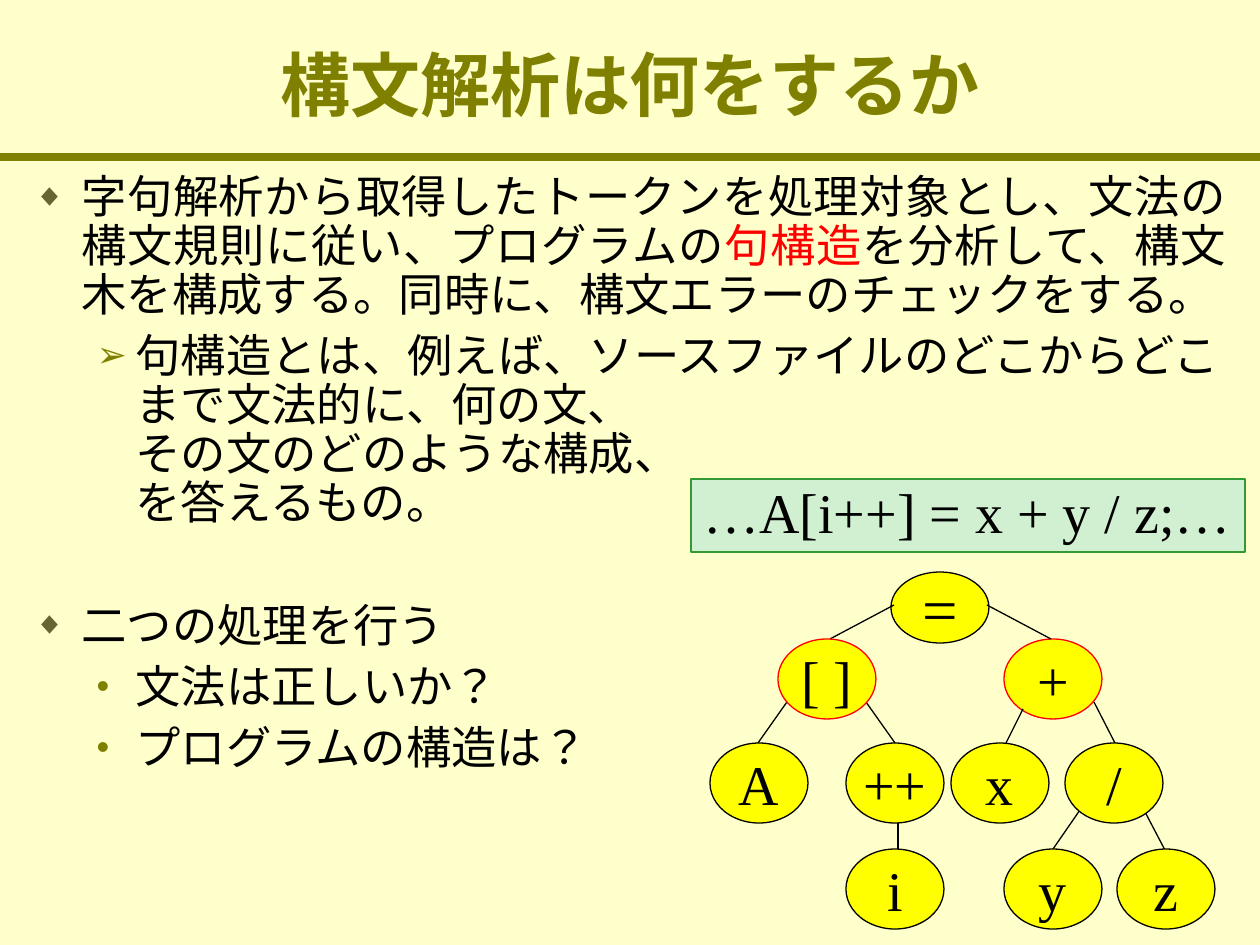
import pptx
import pptx.util
import pptx.dml.color
import pptx.enum.lang
import pptx.enum.shapes
import pptx.enum.text
import pptx.oxml
import pptx.oxml.ns

PX = 914400 / 126
LATIN = "Times New Roman"
JAPANESE = "Noto Sans CJK JP"
OLIVE, BLACK, RED, YELLOW = "808000", "000000", "FF0000", "FFFF00"
ALIGN = pptx.enum.text.PP_ALIGN
AUTO_SIZE = pptx.enum.text.MSO_AUTO_SIZE
SHAPE = pptx.enum.shapes.MSO_SHAPE

TITLE = "構文解析は何をするか"
# bullet, alignment, space before (pt), runs of (text, colour)
POINTS = [
    ("◆", ALIGN.JUSTIFY, 0, [
        ("字句解析から取得したトークンを処理対象とし、文法の構文規則に従い、プログラムの", BLACK),
        ("句構造", RED),
        ("を分析して、構文木を構成する。同時に、構文エラーのチェックをする。", BLACK)]),
    ("➢", ALIGN.LEFT, 7, [
        ("句構造とは、例えば、ソースファイルのどこからどこまで文法的に、何の文、\n"
         "その文のどのような構成、\nを答えるもの。", BLACK)]),
    ("◆", ALIGN.JUSTIFY, 42, [("二つの処理を行う", BLACK)]),
    ("•", ALIGN.JUSTIFY, 7, [("文法は正しいか？", BLACK)]),
    ("•", ALIGN.JUSTIFY, 7, [("プログラムの構造は？", BLACK)]),
]
CODE = "…A[i++] = x + y / z;…"

# symbol, centre x, tree level, outline
UPPER_NODES = [("=", 940, 0, BLACK), ("+", 1053, 1, RED)]
LOWER_NODES = [
    ("[ ]", 827, 1, RED), ("A", 759, 2, BLACK), ("++", 895, 2, BLACK),
    ("i", 895, 3, BLACK), ("x", 1000, 2, BLACK), ("/", 1114, 2, BLACK),
    ("y", 1053, 3, BLACK), ("z", 1166, 3, BLACK),
]
LEVEL_TOPS = [572, 639, 743, 849]
NODE_WIDTH, NODE_HEIGHT, ROOT_HEIGHT = 98, 80, 71
EDGES = [
    (894, 605, 830, 639), (987, 605, 1051, 639),
    (787, 702, 758, 743), (866, 702, 895, 743),
    (1023, 709, 1002, 751), (1094, 702, 1115, 743),
    (898, 823, 898, 849),
    (1080, 810, 1051, 852), (1144, 810, 1166, 852),
]


def emu(*lengths):
    return [round(length * PX) for length in lengths]


def rgb(color):
    return pptx.dml.color.RGBColor.from_string(color)


def add_run(paragraph, text, size, color, font=LATIN, bold=False):
    run = paragraph.add_run()
    run.text = text
    run.font.size = pptx.util.Pt(size)
    run.font.bold = bold
    run.font.language_id = pptx.enum.lang.MSO_LANGUAGE_ID.JAPANESE
    run.font.color.rgb = rgb(color)
    run.font.name = font
    east_asian = pptx.oxml.parse_xml(
        f'<a:ea {pptx.oxml.ns.nsdecls("a")} typeface="{JAPANESE}"/>')
    run.font._element.find(pptx.oxml.ns.qn("a:latin")).addnext(east_asian)


def add_bullet(paragraph, char):
    top = char == "◆"
    margin, hang = (48, 48) if top else (102, 39)
    properties = paragraph._p.get_or_add_pPr()
    properties.set("marL", str(emu(margin)[0]))
    properties.set("indent", str(emu(-hang)[0]))
    color, percent = ("666633", 70) if top else (OLIVE, 80)
    for element in (
        f'<a:buClr {{}}><a:srgbClr val="{color}"/></a:buClr>',
        f'<a:buSzPct {{}} val="{percent * 1000}"/>',
        f'<a:buChar {{}} char="{char}"/>',
    ):
        properties.append(pptx.oxml.parse_xml(
            element.format(pptx.oxml.ns.nsdecls("a"))))


def add_line(slide, ends, color, width):
    line = slide.shapes.add_connector(
        pptx.enum.shapes.MSO_CONNECTOR.STRAIGHT, *emu(*ends))
    line.line.color.rgb = rgb(color)
    line.line.width = pptx.util.Pt(width)
    line._element.spPr.append(pptx.oxml.parse_xml(
        f'<a:effectLst {pptx.oxml.ns.nsdecls("a")}/>'))


def add_labelled_shape(slide, kind, box, fill, outline, label, align):
    shape = slide.shapes.add_shape(kind, *emu(*box))
    shape.shadow.inherit = False
    shape.fill.solid()
    shape.fill.fore_color.rgb = rgb(fill)
    shape.line.color.rgb = rgb(outline)
    shape.line.width = pptx.util.Pt(0.75)
    paragraph = shape.text_frame.paragraphs[0]
    paragraph.alignment = align
    add_run(paragraph, label, 36 if label == "=" else 32, BLACK)
    return shape


def add_nodes(slide, nodes):
    for symbol, center, level, outline in nodes:
        height = NODE_HEIGHT if level else ROOT_HEIGHT
        box = (center - NODE_WIDTH / 2, LEVEL_TOPS[level], NODE_WIDTH, height)
        node = add_labelled_shape(slide, SHAPE.OVAL, box, YELLOW, outline,
                                  symbol, ALIGN.CENTER)
        node.text_frame.word_wrap = False
        node.text_frame.vertical_anchor = pptx.enum.text.MSO_ANCHOR.MIDDLE


def place(placeholder, *box):
    placeholder.left, placeholder.top, placeholder.width, placeholder.height = emu(*box)
    placeholder.text_frame.auto_size = AUTO_SIZE.NONE


def main():
    deck = pptx.Presentation()
    deck.slide_width, deck.slide_height = emu(1260, 945)
    slide = deck.slides.add_slide(deck.slide_layouts[1])
    slide.background.fill.solid()
    slide.background.fill.fore_color.rgb = rgb("FFFFCC")
    add_line(slide, (0, 157, 1260, 157), OLIVE, 4.5)

    title, body = slide.placeholders
    place(title, 0, 10, 1260, 157)
    title.text_frame.vertical_anchor = pptx.enum.text.MSO_ANCHOR.MIDDLE
    heading = title.text_frame.paragraphs[0]
    heading.alignment = ALIGN.CENTER
    heading.line_spacing = 0.9
    add_run(heading, TITLE, 40, OLIVE, bold=True)

    place(body, 21, 168, 1218, 756)
    for index, (bullet, align, space, runs) in enumerate(POINTS):
        frame = body.text_frame
        paragraph = frame.add_paragraph() if index else frame.paragraphs[0]
        paragraph.level = 0 if bullet == "◆" else 1
        paragraph.alignment = align
        paragraph.line_spacing = 0.9
        paragraph.space_before = pptx.util.Pt(space)
        add_bullet(paragraph, bullet)
        for text, color in runs:
            for number, line in enumerate(text.split("\n")):
                if number:
                    paragraph.add_line_break()
                add_run(paragraph, line, 25.9, color, JAPANESE)

    code = add_labelled_shape(slide, SHAPE.RECTANGLE, (691, 479, 554, 73),
                              "D1F0D1", "339933", CODE, ALIGN.LEFT)
    code.text_frame.word_wrap = True
    code.text_frame.auto_size = AUTO_SIZE.SHAPE_TO_FIT_TEXT
    code.text_frame.vertical_anchor = pptx.enum.text.MSO_ANCHOR.TOP
    code.text_frame.paragraphs[0].line_spacing = 0.9

    add_nodes(slide, UPPER_NODES)
    for ends in EDGES:
        add_line(slide, ends, BLACK, 0.75)
    add_nodes(slide, LOWER_NODES)
    deck.save("out.pptx")


if __name__ == "__main__":
    main()
